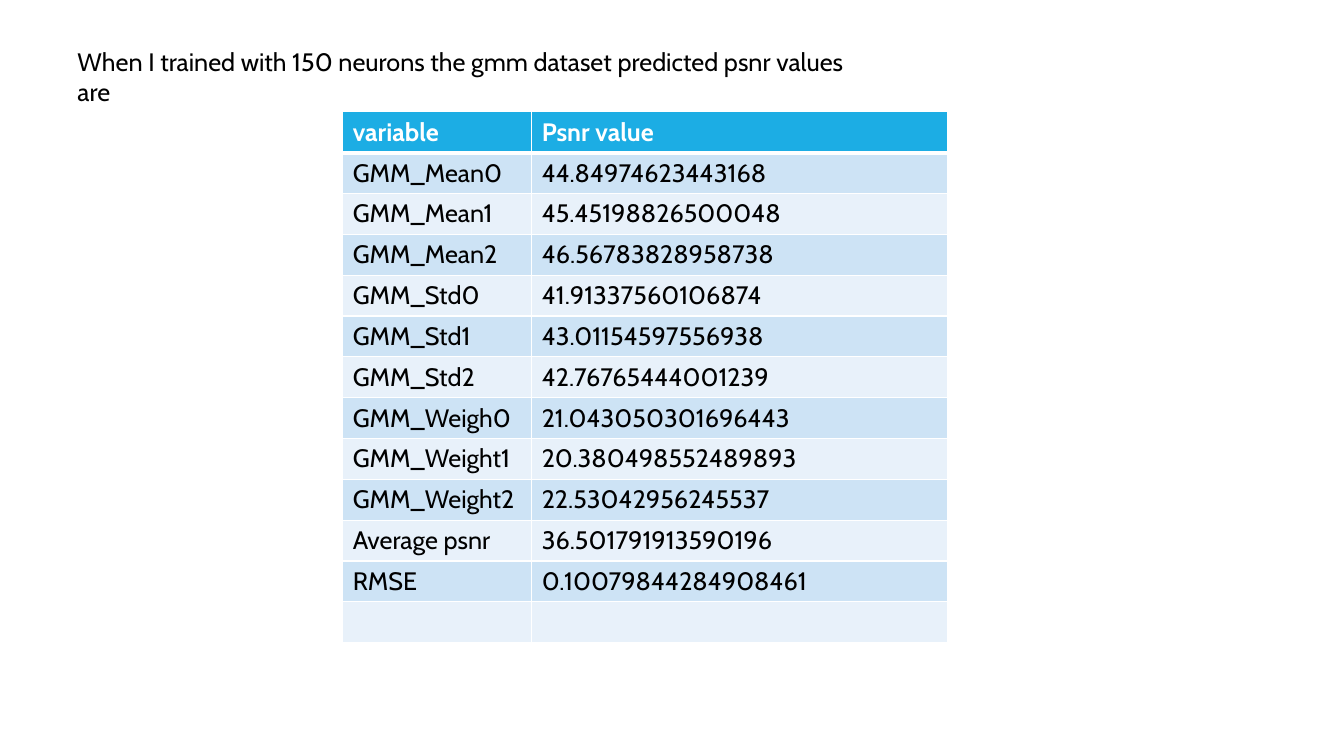
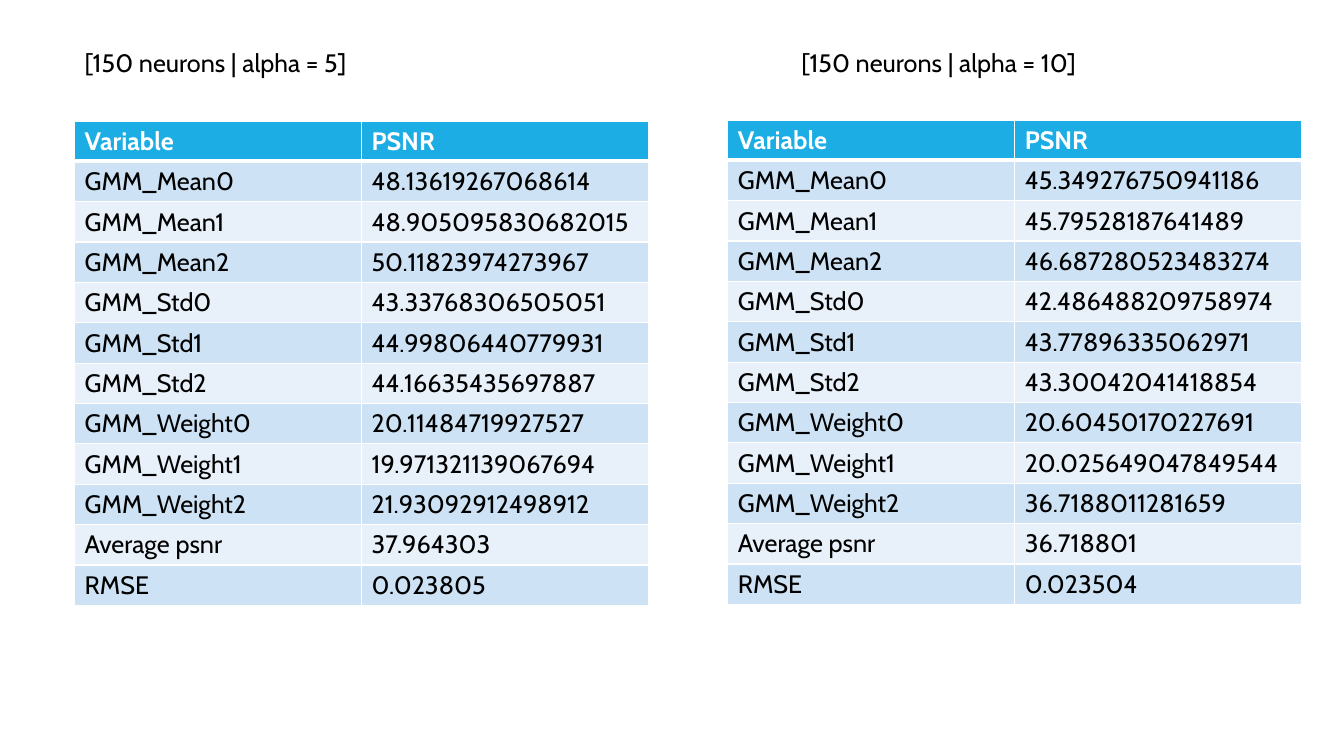
from lxml import etree
from pptx import Presentation, util as u
from pptx.dml.color import RGBColor
from pptx.enum import text
from pptx.oxml import ns

# Shared style
WIDE, HIGH = u.Inches(13.33), u.Inches(7.5)
FONT, SIZE = "Cabin", u.Pt(18)
BLACK = RGBColor(0x00, 0x00, 0x00)
WHITE = RGBColor(0xFF, 0xFF, 0xFF)
BLUE = RGBColor(0x1C, 0xAD, 0xE4)
BANDS = (RGBColor(0xE8, 0xF1, 0xFA), RGBColor(0xCD, 0xE3, 0xF5))
THIN, THICK = u.Pt(1), u.Pt(3)

# Row labels
STATS = ["GMM_Mean0", "GMM_Mean1", "GMM_Mean2",
         "GMM_Std0", "GMM_Std1", "GMM_Std2"]
LAST = ["GMM_Weight1", "GMM_Weight2", "Average psnr", "RMSE"]
NAMES = STATS + ["GMM_Weight0"] + LAST

# Measured values
BASE = ["44.84974623443168", "45.45198826500048", "46.56783828958738",
        "41.91337560106874", "43.01154597556938", "42.76765444001239",
        "21.043050301696443", "20.380498552489893", "22.53042956245537",
        "36.501791913590196", "0.10079844284908461"]
ALPHA5 = ["48.13619267068614", "48.905095830682015", "50.11823974273967",
          "43.33768306505051", "44.99806440779931", "44.16635435697887",
          "20.11484719927527", "19.971321139067694", "21.93092912498912",
          "37.964303", "0.023805"]
ALPHA10 = ["45.349276750941186", "45.79528187641489", "46.687280523483274",
           "42.486488209758974", "43.77896335062971", "43.30042041418854",
           "20.60450170227691", "20.025649047849544", "36.7188011281659",
           "36.718801", "0.023504"]


def place(box):
    """Turn percentages of the slide into lengths."""
    return [round(part * side / 100)
            for part, side in zip(box, (WIDE, HIGH, WIDE, HIGH))]


def write(frame, words, color=BLACK, bold=False):
    run = frame.paragraphs[0].add_run()
    run.text = words
    font = run.font
    font.name, font.size, font.bold = FONT, SIZE, bold
    font.color.rgb = color


def label(slide, box, words):
    frame = slide.shapes.add_textbox(*place(box)).text_frame
    frame.word_wrap = True
    frame.auto_size = text.MSO_AUTO_SIZE.SHAPE_TO_FIT_TEXT
    write(frame, words)


def edge(cell, top, bottom):
    props = cell._tc.get_or_add_tcPr()
    for side, width in (("L", THIN), ("R", THIN), ("T", top), ("B", bottom)):
        line = etree.SubElement(props, ns.qn("a:ln" + side), w=str(width))
        fill = etree.SubElement(line, ns.qn("a:solidFill"))
        etree.SubElement(fill, ns.qn("a:srgbClr"), val=str(WHITE))


def grid(slide, box, rows, shares=(1, 1)):
    x, y, w, h = place(box)
    table = slide.shapes.add_table(len(rows), len(shares), x, y, w, h).table
    for col, share in zip(table.columns, shares):
        col.width = round(w * share / sum(shares))
    for i, row in enumerate(rows):
        table.rows[i].height = round(h / len(rows))
        head = i == 0
        for j, words in enumerate(row):
            cell = table.cell(i, j)
            edge(cell, THICK if i == 1 else THIN, THICK if head else THIN)
            cell.fill.solid()
            cell.fill.fore_color.rgb = BLUE if head else BANDS[i % 2]
            if words:
                write(cell.text_frame, words, WHITE if head else BLACK, head)


def single(slide):
    """One caption above one centred table."""
    label(slide, (5.03, 5.47, 60.24, 5.33),
          "When I trained with 150 neurons the gmm dataset "
          "predicted psnr values are")
    names = STATS + ["GMM_Weigh0"] + LAST
    rows = [("variable", "Psnr value"), *zip(names, BASE), ("", "")]
    grid(slide, (25.5, 14.8, 45, 70.27), rows, (5, 11))


def panel(slide, note, box, alpha, values):
    """A caption and its table, one half of a comparison."""
    label(slide, note, f"[150 neurons | alpha = {alpha}]")
    grid(slide, box, [("Variable", "PSNR"), *zip(NAMES, values)])


def double(slide):
    panel(slide, (5.55, 5.6, 25.88, 9.47), (5.55, 16, 42.7, 64), 5, ALPHA5)
    panel(slide, (58.88, 5.6, 29.03, 13.47), (54.15, 15.87, 42.7, 64),
          10, ALPHA10)


def main():
    deck = Presentation()
    deck.slide_width, deck.slide_height = WIDE, HIGH
    for build in (single, double):
        build(deck.slides.add_slide(deck.slide_layouts[6]))
    deck.save("out.pptx")


if __name__ == "__main__":
    main()
